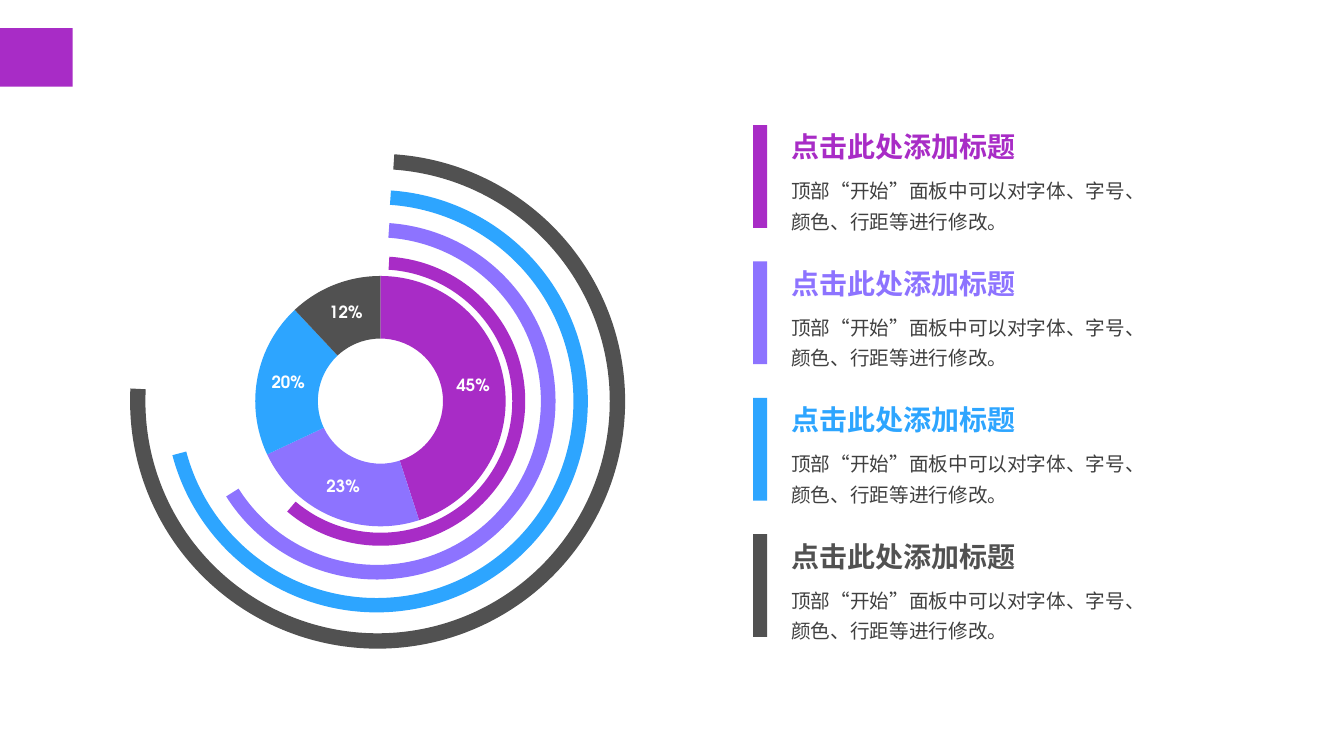
from pptx import Presentation
from pptx import util as u
from pptx.chart.data import CategoryChartData
from pptx.dml.color import RGBColor
from pptx.enum import chart as charts, shapes, text

FONT = "TeX Gyre Adventor"
PURPLE, VIOLET, BLUE, GREY = "A82CC6", "8D73FF", "2DA5FF", "515151"
HEADING = "点击此处添加标题"
BODY = "顶部“开始”面板中可以对字体、字号、颜色、行距等进行修改。"
ITEMS = [(PURPLE, 45), (VIOLET, 23), (BLUE, 20), (GREY, 12)]
RINGS = [
    (PURPLE, 3.775, 2.87, 273.47, 130.2, 0.045),
    (VIOLET, 3.74, 3.54, 273.96, 147.7, 0.041),
    (BLUE, 3.735, 4.19, 273.9, 165.18, 0.034),
    (GREY, 3.745, 4.91, 273.87, 182.94, 0.031),
]
RING_CENTER_Y = 3.98
ROW_TOP, ROW_PITCH = 1.24, 1.353
BAR_LEFT, TEXT_LEFT = 7.47, 7.75


def color(value):
    return RGBColor.from_string(value)


def add_filled(slide, kind, box, fill):
    shape = slide.shapes.add_shape(kind, *map(u.Inches, box))
    shape.shadow.inherit = False
    shape.fill.solid()
    shape.fill.fore_color.rgb = color(fill)
    shape.line.fill.background()
    return shape


def style(font, size, fill, bold=False):
    font.name, font.size, font.bold = FONT, u.Pt(size), bold
    font.color.rgb = color(fill)


def add_text(slide, box, words, size, fill, bold=False, wrap=True, spacing=None):
    frame = slide.shapes.add_textbox(*map(u.Inches, box)).text_frame
    frame.word_wrap = wrap
    frame.auto_size = text.MSO_AUTO_SIZE.SHAPE_TO_FIT_TEXT
    paragraph = frame.paragraphs[0]
    paragraph.text = words
    paragraph.line_spacing = spacing
    style(paragraph.font, size, fill, bold)


def add_doughnut(slide):
    data = CategoryChartData()
    data.categories = [str(number) for number in range(1, len(ITEMS) + 1)]
    data.add_series("Series 1", [value for _, value in ITEMS])
    box = map(u.Inches, (2.3, 2.6, 2.95, 2.76))
    chart = slide.shapes.add_chart(charts.XL_CHART_TYPE.DOUGHNUT, *box, data).chart
    chart.has_legend = chart.has_title = False
    style(chart.font, 10, "000000")
    plot = chart.plots[0]
    plot.vary_by_categories = True
    for index, (fill, _) in enumerate(ITEMS):
        point = plot.series[0].points[index]
        point.format.fill.solid()
        point.format.fill.fore_color.rgb = color(fill)
        point.format.line.fill.background()
    labels = plot.series[0].data_labels
    labels.show_percentage, labels.show_value = True, False
    labels.number_format, labels.number_format_is_linked = "0%", False
    style(labels.font, 12, "FFFFFF", True)


def add_ring(slide, fill, center, size, start, end, thickness):
    box = (center - size / 2, RING_CENTER_Y - size / 2, size, size)
    ring = add_filled(slide, shapes.MSO_SHAPE.BLOCK_ARC, box, fill)
    ring.adjustments[0] = start * 0.6
    ring.adjustments[1] = end * 0.6
    ring.adjustments[2] = thickness


def main():
    """Build the doughnut slide with four rings and four captions."""
    presentation = Presentation()
    presentation.slide_width, presentation.slide_height = u.Inches(13.33), u.Inches(7.5)
    slide = presentation.slides.add_slide(presentation.slide_layouts[6])
    rectangle = shapes.MSO_SHAPE.RECTANGLE
    add_filled(slide, rectangle, (0, 0.28, 0.72, 0.58), PURPLE)
    add_doughnut(slide)
    for ring in RINGS:
        add_ring(slide, *ring)
    for row, (fill, _) in enumerate(ITEMS):
        top = ROW_TOP + row * ROW_PITCH
        add_text(slide, (TEXT_LEFT, top + 0.42, 3.58, 0.71), BODY, 14, "404040", spacing=1.3)
        add_text(slide, (TEXT_LEFT, top, 2.45, 0.44), HEADING, 20, fill, bold=True, wrap=False)
        add_filled(slide, rectangle, (BAR_LEFT, top, 0.14, 1.02), fill)
    presentation.save("out.pptx")


if __name__ == "__main__":
    main()
